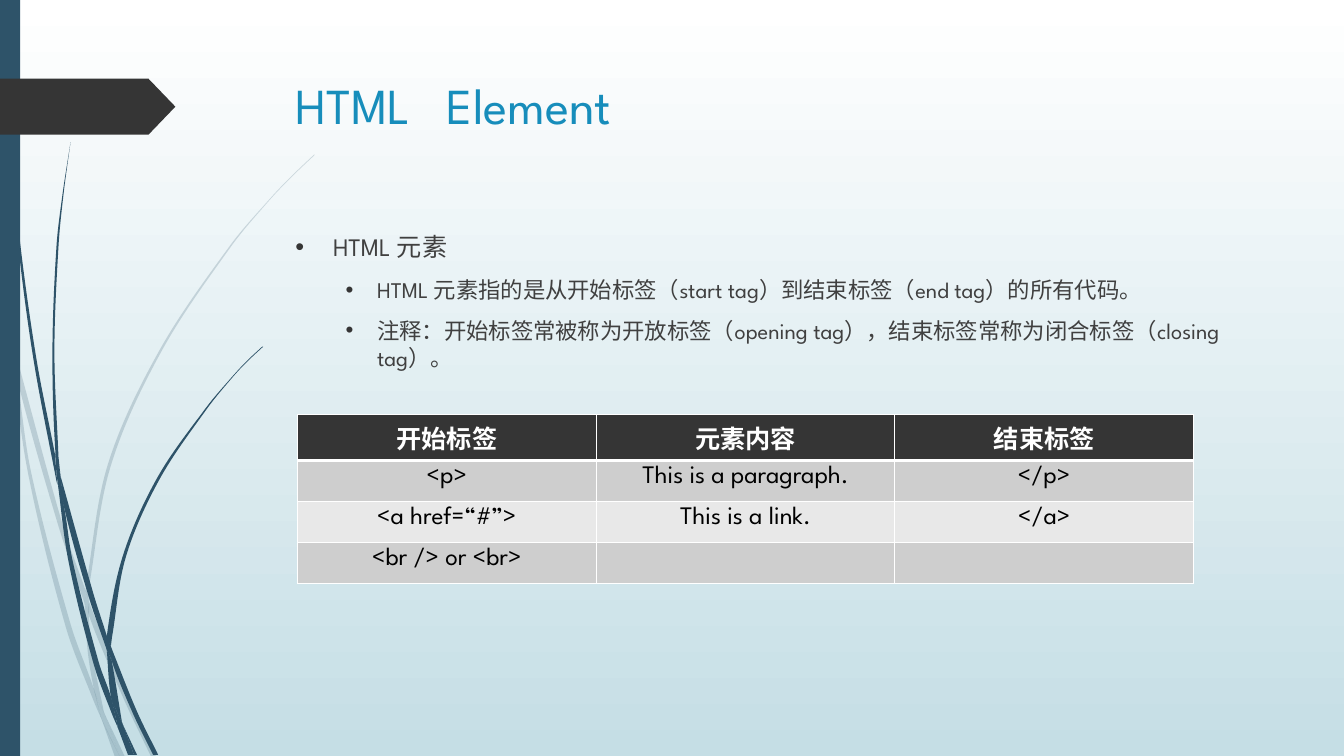
from math import dist
from lxml import etree
from pptx import Presentation
from pptx.dml.color import RGBColor
from pptx.enum.shapes import MSO_SHAPE
from pptx.enum.text import PP_ALIGN
from pptx.oxml.ns import qn
from pptx.util import Pt

RECT = MSO_SHAPE.RECTANGLE
PENTAGON = MSO_SHAPE.PENTAGON
CENTER = PP_ALIGN.CENTER

WHITE = RGBColor(0xFF, 0xFF, 0xFF)
BLACK = RGBColor(0, 0, 0)
PALE = RGBColor(0xC5, 0xDE, 0xE5)
NAVY = RGBColor(0x2E, 0x53, 0x69)
CHARCOAL = RGBColor(0x35, 0x35, 0x35)
BLUE = RGBColor(0x17, 0x8D, 0xBB)
TEXT = RGBColor(0x40, 0x40, 0x40)
BANDS = (RGBColor(0xCE, 0xCE, 0xCE), RGBColor(0xE8, 0xE8, 0xE8))

GRID = 0.72

PALE_BLADES = [
    ([(11, 350), (9, 322), (0, 282)], [(0, 299), (10, 344), (11, 350)]),
    ([(14, 345), (17, 376), (58, 522), (84, 599)], [(85, 586), (62, 520), (14, 345)]),
    ([(88, 596), (88, 610), (123, 694), (150, 751)],
     [(155, 751), (127, 692), (92, 607), (88, 596)]),
    ([(105, 711), (119, 751)], [(124, 751), (105, 711)]),
    ([(11, 350), (28, 470), (65, 621), (92, 693), (101, 714)],
     [(99, 707), (93, 683), (70, 619), (31, 469), (17, 376), (11, 350)]),
    ([(84, 599), (87, 646), (93, 683), (96, 692), (105, 711)],
     [(103, 706), (91, 646), (88, 610), (88, 608), (84, 599)]),
    ([(312, 153), (289, 175), (268, 197), (228, 244), (158, 348), (107, 461), (85, 584),
      (85, 586), (88, 596)],
     [(88, 584), (110, 462), (160, 349), (229, 245), (268, 198), (290, 175), (312, 154)]),
    ([(101, 714), (114, 751)], [(119, 751), (101, 714)]),
    ([(84, 599), (88, 608), (88, 610)], [(88, 596), (85, 586)]),
    ([(93, 683), (99, 707), (101, 714), (119, 751)], [(105, 711), (96, 692), (93, 683)]),
]
DARK_BLADES = [
    ([(3, 0), (4, 48), (7, 110), (17, 233), (33, 355), (56, 477), (57, 481)],
     [(55, 457), (55, 453), (36, 355), (19, 232), (8, 109), (5, 48), (4, 0)]),
    ([(60, 472), (64, 505), (88, 592), (106, 645)],
     [(106, 633), (106, 631), (93, 590), (60, 472)]),
    ([(110, 641), (111, 656), (132, 708), (152, 749)],
     [(157, 749), (136, 706), (113, 649), (110, 641)]),
    ([(57, 477), (68, 557), (93, 659), (111, 708), (117, 722)],
     [(116, 717), (110, 691), (98, 657), (72, 556), (64, 505), (57, 477)]),
    ([(70, 141), (62, 193), (56, 245), (52, 349), (55, 449), (60, 472)],
     [(58, 453), (54, 349), (58, 245), (63, 193), (70, 141)]),
    ([(122, 719), (133, 749)], [(136, 749), (122, 719)]),
    ([(55, 449), (55, 453), (57, 477), (64, 505)], [(60, 472), (55, 449)]),
    ([(260, 344), (245, 358), (231, 373), (204, 405), (156, 474), (122, 551), (106, 631),
      (110, 641)],
     [(111, 633), (125, 552), (158, 476), (205, 406), (231, 374), (245, 359), (261, 344)]),
    ([(117, 722), (127, 749)], [(131, 749), (117, 722)]),
    ([(106, 645), (110, 691), (116, 706), (122, 719)],
     [(121, 716), (111, 656), (109, 651), (106, 645)]),
    ([(106, 631), (106, 633), (106, 645), (109, 651), (111, 656)], [(110, 641), (106, 631)]),
    ([(110, 691), (116, 717), (117, 722), (130, 749)],
     [(133, 749), (122, 719), (116, 706), (110, 691)]),
]

BULLETS = [
    (18, 27, 27, "HTML 元素"),
    (16, 58.5, 22.5, "HTML 元素指的是从开始标签（start tag）到结束标签（end tag）的所有代码。"),
    (16, 58.5, 22.5, "注释：开始标签常被称为开放标签（opening tag），结束标签常称为闭合标签（closing tag）。"),
]
TAG_ROWS = [
    ("开始标签", "元素内容", "结束标签"),
    ("<p>", "This is a paragraph.", "</p>"),
    ("<a href=“#”>", "This is a link.", "</a>"),
    ("<br /> or <br>", "", ""),
]


def handle(knot, back, ahead, length):
    k = length / (dist(back, knot) + dist(knot, ahead)) / 3
    return tuple(v + (a - b) * k for v, a, b in zip(knot, ahead, back))


def spline(knots):
    padded = [knots[0], *knots, knots[-1]]
    curve = []
    for a, b, c, d in zip(padded, padded[1:], padded[2:], padded[3:]):
        length = dist(b, c)
        curve += [handle(b, a, c, length), handle(c, d, b, length), c]
    return curve


class SlideBuilder:
    font = "League Spartan"

    def __init__(self, prs):
        self.s = prs.slides.add_slide(prs.slide_layouts[6])

    def background(self, top, bottom):
        fill = self.s.background.fill
        fill.gradient()
        fill.gradient_angle = 270
        for stop, color in zip(fill.gradient_stops, (top, bottom)):
            stop.color.rgb = color

    def paint(self, sp, color, opacity=100):
        sp.shadow.inherit = False
        sp.fill.solid()
        sp.fill.fore_color.rgb = color
        sp.line.fill.background()
        if opacity < 100:
            clr = sp._element.spPr.find(".//" + qn("a:srgbClr"))
            etree.SubElement(clr, qn("a:alpha"), val=str(opacity * 1000))

    def shape(self, kind, x, y, w, h, color):
        sp = self.s.shapes.add_shape(kind, Pt(x), Pt(y), Pt(w), Pt(h))
        self.paint(sp, color)
        return sp

    def blade(self, down, up, color, opacity):
        join = spline([down[-1], up[0]])
        points = [(Pt(x * GRID), Pt(y * GRID))
                  for x, y in [down[0], *spline(down), *join, *spline(up)]]
        builder = self.s.shapes.build_freeform(*points[0])
        builder.add_line_segments(points[1:])
        sp = builder.convert_to_shape()
        lines = list(sp._element.iter(qn("a:lnTo")))
        for trio in zip(lines[::3], lines[1::3], lines[2::3]):
            cubic = etree.Element(qn("a:cubicBezTo"))
            trio[0].addprevious(cubic)
            for line in trio:
                cubic.append(line[0])
                line.getparent().remove(line)
        self.paint(sp, color, opacity)

    def run(self, p, text, size, color, bold=False):
        r = p.add_run()
        r.text = text
        r.font.name = self.font
        r.font.size = Pt(size)
        r.font.bold = bold
        r.font.color.rgb = color

    def text_frame(self, x, y, w, h):
        tf = self.s.shapes.add_textbox(Pt(x), Pt(y), Pt(w), Pt(h)).text_frame
        tf.word_wrap = True
        return tf

    def title(self, x, y, w, h, text):
        p = self.text_frame(x, y, w, h).paragraphs[0]
        p._p.get_or_add_pPr().set("defTabSz", str(Pt(36)))
        self.run(p, text, 36, BLUE)

    def bullets(self, x, y, w, h, items):
        tf = self.text_frame(x, y, w, h)
        for i, (size, margin, hang, text) in enumerate(items):
            p = tf.add_paragraph() if i else tf.paragraphs[0]
            p.space_before = Pt(10)
            pPr = p._p.get_or_add_pPr()
            pPr.set("marL", str(Pt(margin)))
            pPr.set("indent", str(-Pt(hang)))
            clr = etree.SubElement(pPr, qn("a:buClr"))
            etree.SubElement(clr, qn("a:srgbClr"), val=str(CHARCOAL))
            etree.SubElement(pPr, qn("a:buFont"), typeface="Arial")
            etree.SubElement(pPr, qn("a:buChar"), char="•")
            self.run(p, text, size, TEXT)

    def cell_borders(self, cell, bottom):
        tcPr = cell._tc.get_or_add_tcPr()
        for i, (side, width) in enumerate(zip("LRTB", (1, 1, 1, bottom))):
            ln = etree.Element(qn("a:ln" + side), w=str(Pt(width)))
            fill = etree.SubElement(ln, qn("a:solidFill"))
            etree.SubElement(fill, qn("a:srgbClr"), val=str(WHITE))
            tcPr.insert(i, ln)

    def table(self, x, y, w, header_h, row_h, rows):
        heights = [header_h] + [row_h] * (len(rows) - 1)
        table = self.s.shapes.add_table(
            len(rows), len(rows[0]), Pt(x), Pt(y), Pt(w), Pt(sum(heights))).table
        for i, texts in enumerate(rows):
            header = i == 0
            table.rows[i].height = Pt(heights[i])
            for cell, text in zip(table.rows[i].cells, texts):
                cell.fill.solid()
                cell.fill.fore_color.rgb = CHARCOAL if header else BANDS[(i - 1) % 2]
                self.cell_borders(cell, 3 if header else 1)
                p = cell.text_frame.paragraphs[0]
                p.alignment = CENTER
                if text:
                    self.run(p, text, 18, WHITE if header else BLACK, header)


prs = Presentation()
prs.slide_width, prs.slide_height = Pt(960), Pt(540)
slide = SlideBuilder(prs)
slide.background(WHITE, PALE)
for blades, opacity in ((PALE_BLADES, 20), (DARK_BLADES, 100)):
    for down, up in blades:
        slide.blade(down, up, NAVY, opacity)
slide.shape(RECT, 0, 0, 14.4, 540, NAVY)
slide.shape(PENTAGON, 0, 56.2, 125.3, 40, CHARCOAL).adjustments[0] = 0.48
slide.title(204, 49.3, 702, 100.8, "HTML \tElement")
slide.bullets(203.8, 162, 702, 297.4, BULLETS)
slide.table(212.6, 296, 640, 33, 29.2, TAG_ROWS)
prs.save("out.pptx")
